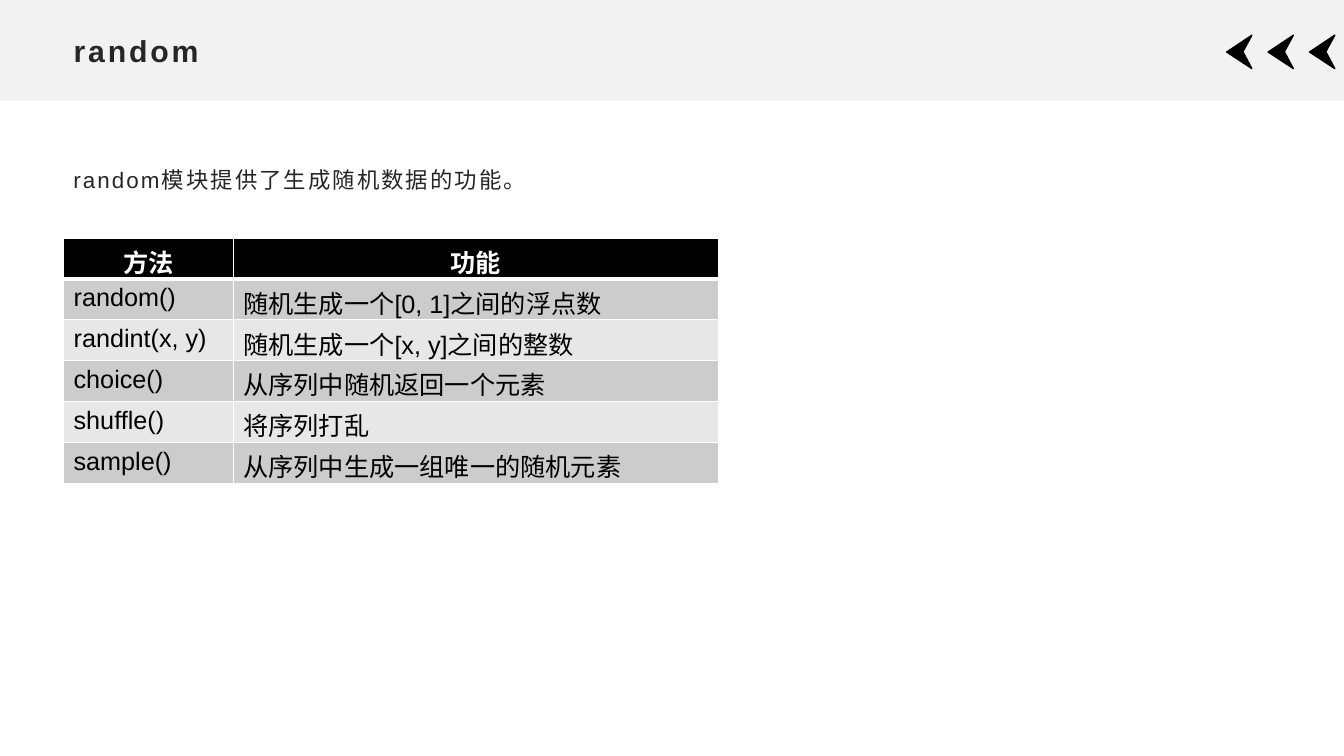
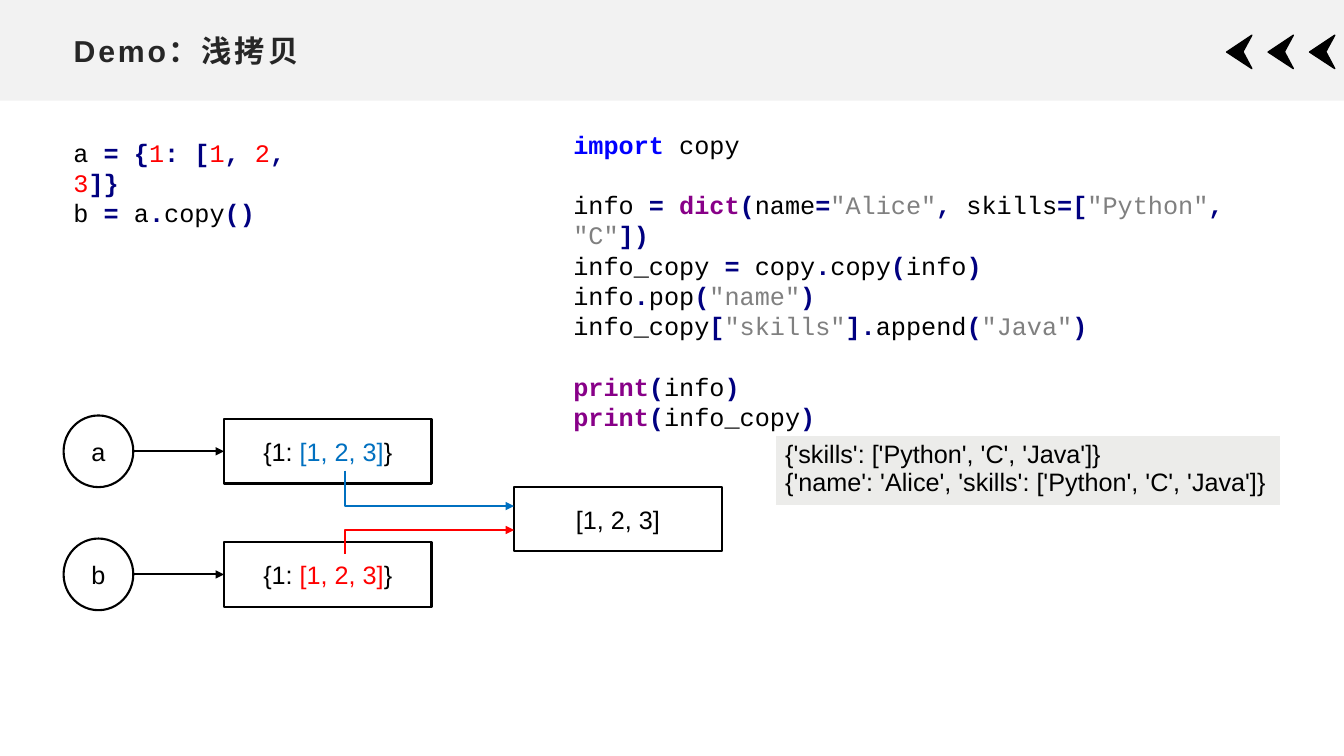
from itertools import groupby

from lxml.etree import SubElement
from pptx import Presentation
from pptx.dml.color import RGBColor
from pptx.enum.shapes import MSO_CONNECTOR as LINK, MSO_SHAPE as SHAPE
from pptx.enum.text import MSO_ANCHOR as ANCHOR, MSO_AUTO_SIZE as AUTO_SIZE, PP_ALIGN as ALIGN
from pptx.oxml.ns import qn
from pptx.util import Pt

# Shared look
SANS, MONO = "Arial", "Courier New"
BLACK, WHITE, INK, BAND = "000000", "FFFFFF", "262626", "F2F2F2"
BLUE, RED = "0070C0", "FF0000"
ROW_FILLS = ("CCCCCC", "E7E7E7")
OUTPUT_FILL = "ECECEA"
OPERATOR, STRING = "000080", "808080"
KEYWORDS = {"import": "0000FF", "dict": "880088", "print": "880088"}
LEFT = 45.4
BODY_SIZE = 18
CODE_PITCH = 21.6

# Content
METHODS = [
    ("方法", "功能"),
    ("random()", "随机生成一个[0, 1]之间的浮点数"),
    ("randint(x, y)", "随机生成一个[x, y]之间的整数"),
    ("choice()", "从序列中随机返回一个元素"),
    ("shuffle()", "将序列打乱"),
    ("sample()", "从序列中生成一组唯一的随机元素"),
]
DICT_CODE = [["a = {1: [1, 2, 3]}", "b = a.copy()"]]
COPY_CODE = [
    ["import copy"],
    ['info = dict(name="Alice", skills=["Python", "C"])',
     "info_copy = copy.copy(info)",
     'info.pop("name")',
     'info_copy["skills"].append("Java")'],
    ["print(info)", "print(info_copy)"],
]
OUTPUT = ("{'skills': ['Python', 'C', 'Java']}\n"
          "{'name': 'Alice', 'skills': ['Python', 'C', 'Java']}")


def rgb(value):
    return RGBColor.from_string(value)


def pts(*values):
    return [Pt(value) for value in values]


def paint(shape, fill=None, line=None, width=1.5):
    shape.shadow.inherit = False
    if fill:
        shape.fill.solid()
        shape.fill.fore_color.rgb = rgb(fill)
    else:
        shape.fill.background()
    if line:
        shape.line.color.rgb = rgb(line)
        shape.line.width = Pt(width)
    else:
        shape.line.fill.background()


def style(paragraph, size=BODY_SIZE, color=BLACK, bold=False, name=SANS, align=ALIGN.LEFT):
    font = paragraph.font
    font.name, font.size, font.bold = name, Pt(size), bold
    font.color.rgb = rgb(color)
    paragraph.alignment = align


def add_spaced_run(paragraph, text, spacing):
    run = paragraph.add_run()
    run.text = text
    run.font.language_id = None
    run.font.size = paragraph.font.size
    run._r.get_or_add_rPr().set("spc", str(int(spacing * 100)))


def add_colored_runs(paragraph, parts):
    for text, color, bold in parts:
        run = paragraph.add_run()
        run.text = text
        run.font.color.rgb = rgb(color)
        run.font.bold = bold


# Header shared through the layout
def add_header(layout, slide):
    band = slide.shapes.add_shape(SHAPE.RECTANGLE, *pts(0, 0, 960, 72))
    paint(band, BAND)
    header = [band]
    for index in range(3):
        tip = 876.2 + index * 29.6
        outline = [(tip + 18, 25.2), (tip + 11.6, 37), (tip + 18, 49)]
        builder = slide.shapes.build_freeform(*pts(tip, 37.2), scale=1.0)
        builder.add_line_segments([pts(*point) for point in outline], close=True)
        chevron = builder.convert_to_shape()
        paint(chevron, BLACK, BLACK, 1)
        header.append(chevron)
    for number, shape in enumerate(header):
        shape.element.nvSpPr.cNvPr.set("id", str(100 + number))
        layout.shapes.element.insert(2 + number, shape.element)


def set_title(slide, text):
    title = slide.shapes.title
    title.left, title.top, title.width, title.height = pts(LEFT, 18.7, 869, 34.6)
    frame = title.text_frame
    frame.auto_size = AUTO_SIZE.NONE
    frame.vertical_anchor = ANCHOR.MIDDLE
    style(frame.paragraphs[0], 21.6, INK, True)
    add_spaced_run(frame.paragraphs[0], text, 2)


def add_text_frame(slide, box):
    frame = slide.shapes.add_textbox(*pts(*box)).text_frame
    frame.word_wrap = True
    return frame


def add_intro(slide, text, box):
    intro = add_text_frame(slide, box).paragraphs[0]
    style(intro, 16, INK)
    intro.line_spacing = 1.3
    add_spaced_run(intro, text, 1.5)


# Tables
def set_borders(cell, bottom):
    properties = cell._tc.get_or_add_tcPr()
    for side, width in (("L", 1), ("R", 1), ("T", 1), ("B", bottom)):
        border = SubElement(properties, qn(f"a:ln{side}"), w=str(Pt(width)))
        fill = SubElement(border, qn("a:solidFill"))
        SubElement(fill, qn("a:srgbClr"), val=WHITE)


def fill_cell(cell, text, fill, bottom=1, **look):
    set_borders(cell, bottom)
    cell.fill.solid()
    cell.fill.fore_color.rgb = rgb(fill)
    cell.text = text
    for paragraph in cell.text_frame.paragraphs:
        style(paragraph, **look)


def add_plain_table(slide, left, top, columns, rows, row_height):
    frame = slide.shapes.add_table(rows, len(columns), *pts(
        left, top, sum(columns), rows * row_height))
    table = frame.table
    table.first_row = table.horz_banding = False
    for column, width in zip(table.columns, columns):
        column.width = Pt(width)
    return table


def add_method_table(slide):
    table = add_plain_table(slide, LEFT, 170, (121.2, 346.4), len(METHODS), 29.2)
    for row, texts in enumerate(METHODS):
        for column, text in enumerate(texts):
            cell = table.cell(row, column)
            if row == 0:
                fill_cell(cell, text, BLACK, 3, color=WHITE, bold=True, align=ALIGN.CENTER)
            else:
                fill_cell(cell, text, ROW_FILLS[(row - 1) % 2])


# Highlighted code
def char_kind(char):
    if char.isspace():
        return "space"
    return "word" if char.isalnum() or char == "_" else "operator"


def code_parts(line):
    for index, section in enumerate(line.split('"')):
        if index % 2:
            yield f'"{section}"', STRING, False
            continue
        for kind, chars in groupby(section, char_kind):
            token = "".join(chars)
            if kind == "operator":
                yield token, OPERATOR, True
            elif token.isdigit():
                yield token, RED, False
            else:
                yield token, KEYWORDS.get(token, BLACK), token in KEYWORDS


def add_code(slide, blocks, box):
    frame = add_text_frame(slide, box)
    paragraph = frame.paragraphs[0]
    for block_number, block in enumerate(blocks):
        for line_number, line in enumerate(block):
            if block_number or line_number:
                paragraph = frame.add_paragraph()
            style(paragraph, name=MONO)
            paragraph.line_spacing = Pt(CODE_PITCH)
            if block_number and line_number == 0:
                paragraph.space_before = Pt(CODE_PITCH)
            add_colored_runs(paragraph, code_parts(line))


# Reference diagram
def add_node(slide, kind, box, parts, fill=None):
    node = slide.shapes.add_shape(kind, *pts(*box))
    paint(node, fill, BLACK)
    node.text_frame.vertical_anchor = ANCHOR.MIDDLE
    label = node.text_frame.paragraphs[0]
    style(label, align=ALIGN.CENTER)
    add_colored_runs(label, parts)


def add_arrow(slide, start, end, color=BLACK, kind=LINK.STRAIGHT):
    arrow = slide.shapes.add_connector(kind, *pts(*start, *end))
    arrow.line.color.rgb = rgb(color)
    arrow.line.width = Pt(1.5)
    SubElement(arrow.line._get_or_add_ln(), qn("a:tailEnd"), type="triangle")
    properties = arrow.element.spPr
    SubElement(properties, qn("a:effectLst"))
    if kind == LINK.ELBOW:  # turn right at the start
        guides = properties.find(qn("a:prstGeom")).get_or_add_avLst()
        SubElement(guides, qn("a:gd"), name="adj1", fmla="val 0")


def add_reference_diagram(slide):
    box_left, box_width, box_height = 160, 148.3, 46.1
    list_left, list_top = 367.2, 347.8
    circle_width, circle_height = 49.8, 51.2
    references = (("a", 322.4, BLUE, 336.2, 361.5), ("b", 410.3, RED, 395.4, 378.6))
    add_node(slide, SHAPE.RECTANGLE, (list_left, list_top, box_width, box_height),
             [("[1, 2, 3]", BLACK, False)], WHITE)
    for name, middle, color, turn_start, turn_end in references:
        add_node(slide, SHAPE.OVAL,
                 (LEFT, middle - circle_height / 2, circle_width, circle_height),
                 [(name, BLACK, False)])
        add_node(slide, SHAPE.RECTANGLE,
                 (box_left, middle - box_height / 2, box_width, box_height),
                 [("{1: ", BLACK, False), ("[1, 2, 3]", color, False), ("}", BLACK, False)],
                 WHITE)
        add_arrow(slide, (LEFT + circle_width, middle), (box_left, middle))
        add_arrow(slide, (246.4, turn_start), (list_left, turn_end), color, LINK.ELBOW)


def main():
    deck = Presentation()
    deck.slide_width, deck.slide_height = pts(960, 540)
    layout = deck.slide_layouts[5]

    # Random module
    random_slide = deck.slides.add_slide(layout)
    add_header(layout, random_slide)
    set_title(random_slide, "random")
    add_intro(random_slide, "random模块提供了生成随机数据的功能。", (LEFT, 109.4, 386, 34.6))
    add_method_table(random_slide)

    # Shallow copy
    copy_slide = deck.slides.add_slide(layout)
    set_title(copy_slide, "Demo：浅拷贝")
    add_code(copy_slide, DICT_CODE, (LEFT, 94.3, 200.9, 51))
    add_reference_diagram(copy_slide)
    add_code(copy_slide, COPY_CODE, (402.5, 88.6, 512, 203.8))
    output_table = add_plain_table(copy_slide, 553.7, 311, (360.7,), 1, 50)
    fill_cell(output_table.cell(0, 0), OUTPUT, OUTPUT_FILL)

    deck.save("out.pptx")


main()
